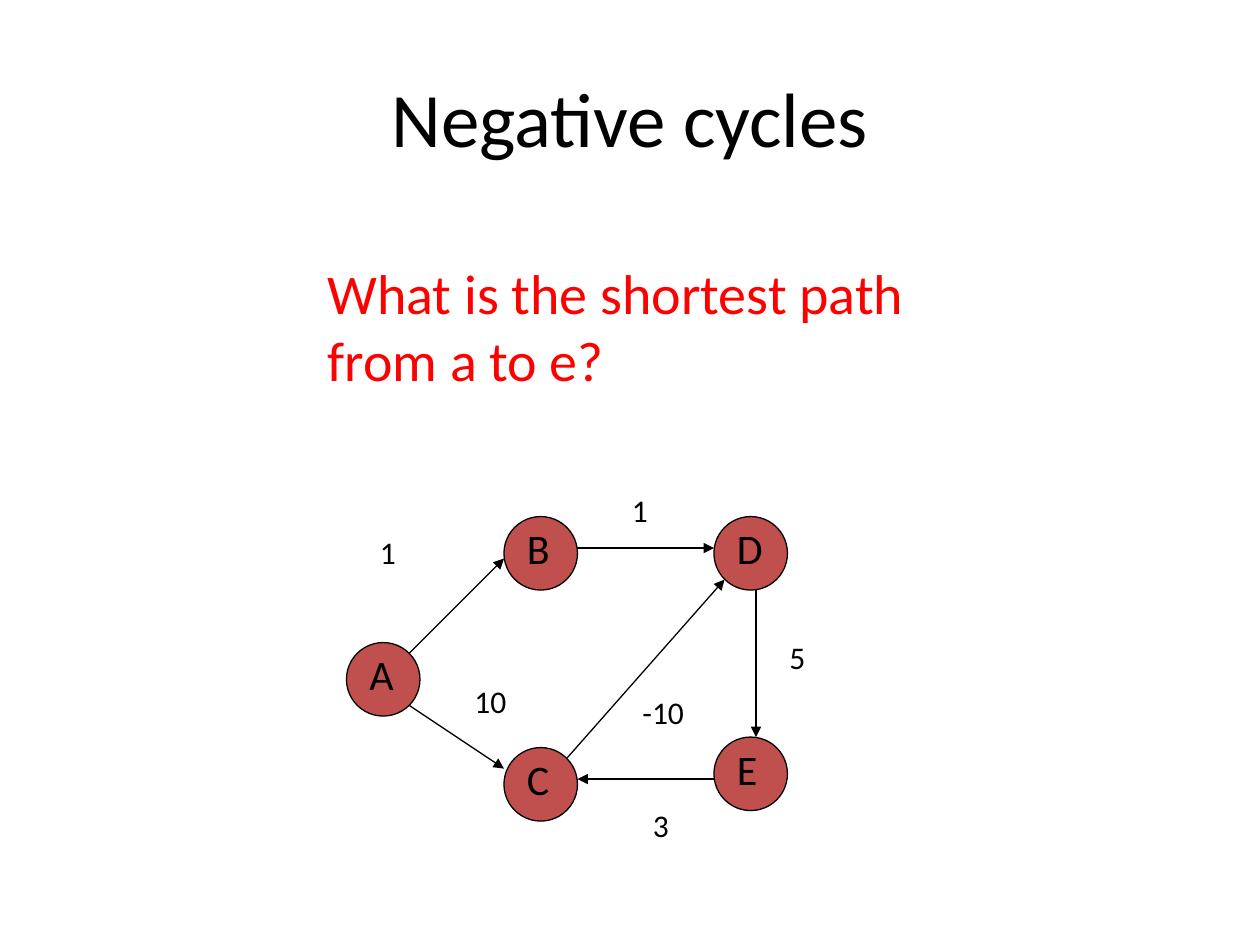
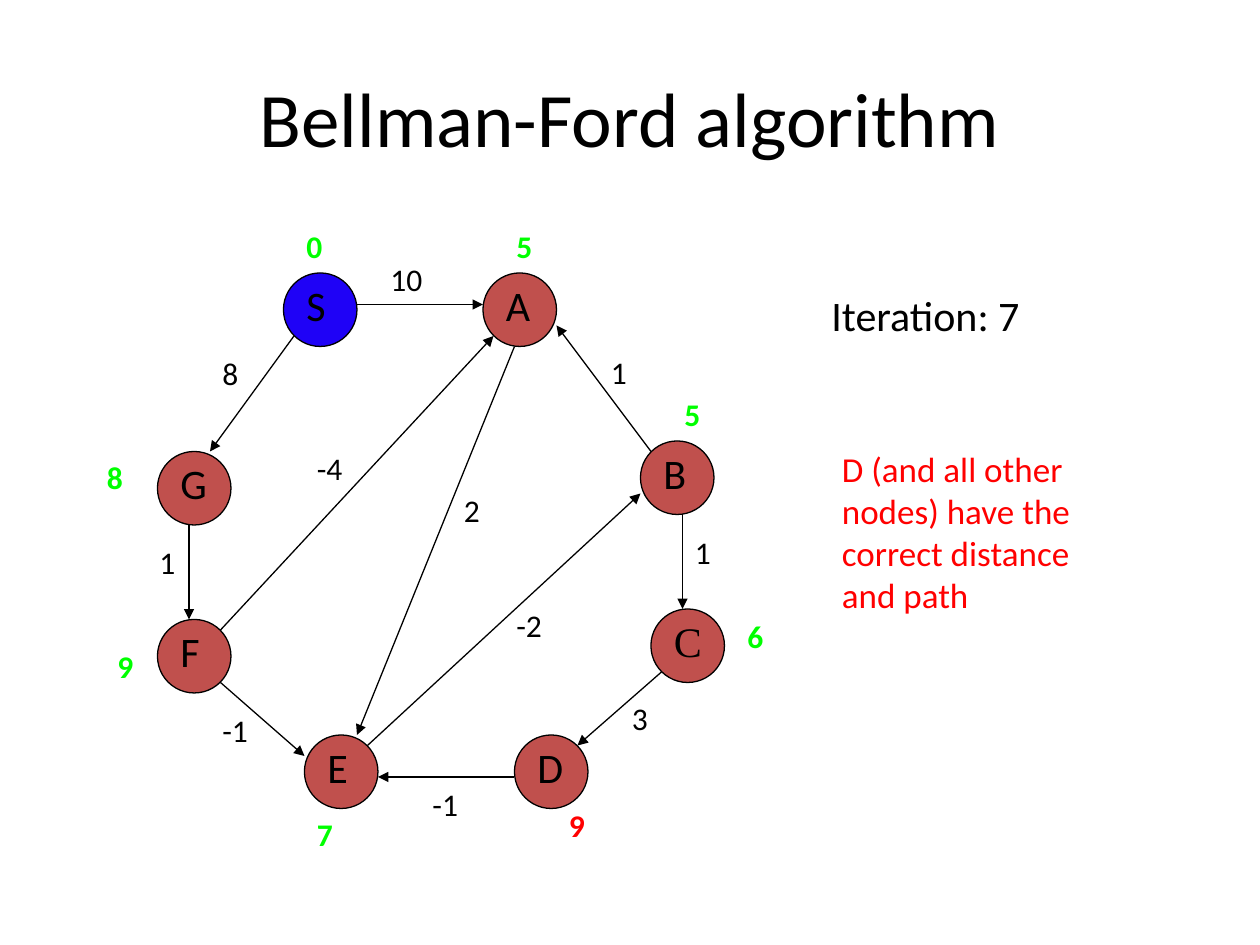
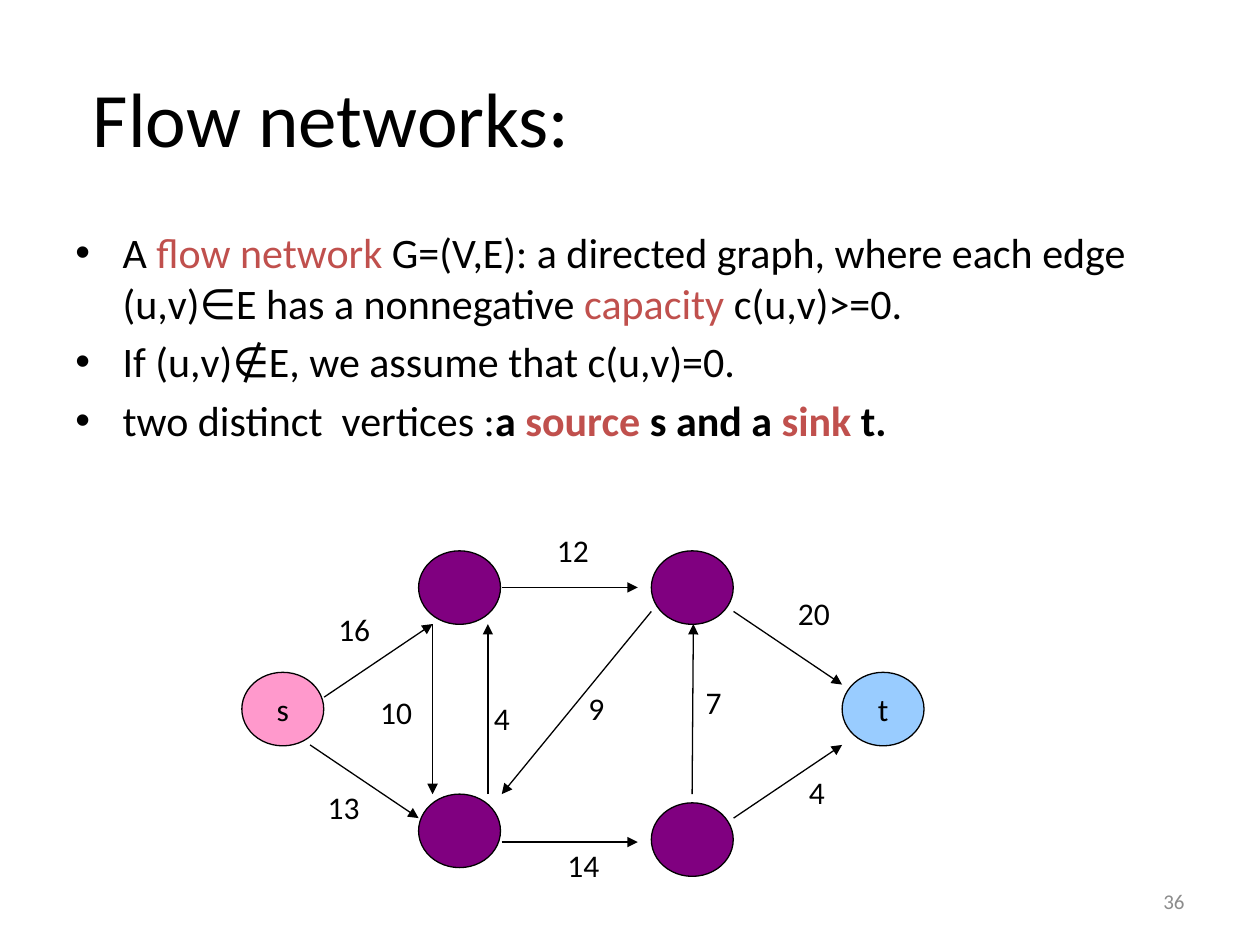
import dataclasses

import lxml.etree
import pptx
import pptx.dml.color
import pptx.enum.shapes
import pptx.enum.text
import pptx.oxml.ns
import pptx.util

Pt = pptx.util.Pt
Align = pptx.enum.text.PP_ALIGN
Anchor = pptx.enum.text.MSO_ANCHOR


@dataclasses.dataclass(frozen=True)
class Theme:
    """Colours, fonts and type sizes shared by the slides."""

    font: str = "Calibri"
    serif: str = "Times New Roman"
    black: str = "000000"
    red: str = "FF0000"
    green: str = "00FF00"
    brick: str = "C0504D"
    blue: str = "1F02F6"
    purple: str = "800080"
    pink: str = "FF99CC"
    sky: str = "99CCFF"
    grey: str = "8C8C8C"
    title: int = 44
    question: int = 32
    body: int = 24
    remark: int = 20
    label: int = 18
    footer: int = 12
    stroke: float = 0.75


THEME = Theme()


@dataclasses.dataclass(frozen=True)
class Box:
    """A rectangle in points."""

    left: float
    top: float
    width: float
    height: float

    def inner(self, left, top, width, height):
        """Return a box placed relative to this one."""
        return Box(self.left + left, self.top + top, width, height)

    def lengths(self):
        """Return the four sides as lengths."""
        return [Pt(side) for side in (self.left, self.top, self.width, self.height)]


@dataclasses.dataclass(frozen=True)
class Node:
    """A graph node with its top-left corner."""

    name: str
    left: float
    top: float
    fill: str = THEME.brick
    font: str = THEME.font


@dataclasses.dataclass(frozen=True)
class Edge:
    """A weighted arrow with the corner of its label."""

    start: tuple
    end: tuple
    weight: str
    label: tuple


@dataclasses.dataclass(frozen=True)
class GraphStyle:
    """Sizes of the nodes and labels of one graph."""

    node: tuple = (42, 42)
    label: tuple = (36, 28.8)
    centred: bool = False


TITLE_BOX = Box(36, 21.6, 648, 90)
BODY_BOX = Box(36, 126, 648, 356.4)
PAGE_BOX = Box(516, 500.4, 168, 28.8)


def rgb(value):
    """Return a colour from its hexadecimal value."""
    return pptx.dml.color.RGBColor.from_string(value)


def set_font(font, size, color, name=THEME.font, bold=False):
    """Set every property of a font."""
    font.name, font.size, font.bold = name, Pt(size), bold
    font.color.rgb = rgb(color)


def add_text(slide, box, text, size, color=THEME.black, name=THEME.font,
             bold=False, align=Align.LEFT, anchor=Anchor.TOP):
    """Add a wrapped text box with one paragraph."""
    frame = slide.shapes.add_textbox(*box.lengths()).text_frame
    frame.word_wrap = True
    frame.vertical_anchor = anchor
    paragraph = frame.paragraphs[0]
    paragraph.text = text
    paragraph.alignment = align
    set_font(paragraph.font, size, color, name, bold)


def add_title(slide, box, text, align=Align.CENTER):
    """Add the slide title."""
    add_text(slide, box, text, THEME.title, align=align, anchor=Anchor.MIDDLE)


def add_arrow(slide, box, start, end):
    """Add a straight arrow between two points of the box."""
    ends = [Pt(value) for x, y in (start, end) for value in (box.left + x, box.top + y)]
    connector = slide.shapes.add_connector(pptx.enum.shapes.MSO_CONNECTOR.STRAIGHT, *ends)
    connector.line.color.rgb = rgb(THEME.black)
    connector.line.width = Pt(THEME.stroke)
    qualify = pptx.oxml.ns.qn
    lxml.etree.SubElement(connector.line._get_or_add_ln(), qualify("a:tailEnd"), type="triangle")
    lxml.etree.SubElement(connector._element.spPr, qualify("a:effectLst"))


def add_node(slide, box, node, style):
    """Add one node with its name."""
    place = box.inner(node.left, node.top, *style.node)
    shape = slide.shapes.add_shape(pptx.enum.shapes.MSO_SHAPE.OVAL, *place.lengths())
    shape.shadow.inherit = False
    shape.fill.solid()
    shape.fill.fore_color.rgb = rgb(node.fill)
    shape.line.color.rgb = rgb(THEME.black)
    shape.line.width = Pt(THEME.stroke)
    if not style.centred:
        add_text(slide, place.inner(6, 0, 36, 36), node.name, THEME.body, name=node.font)
    elif node.name:
        shape.text_frame.word_wrap = False
        paragraph = shape.text_frame.paragraphs[0]
        paragraph.text = node.name
        paragraph.alignment = Align.CENTER
        set_font(paragraph.font, THEME.label, THEME.black)


def add_graph(slide, box, nodes, edges, style):
    """Add a directed graph with weights."""
    for node in nodes:
        add_node(slide, box, node, style)
    for edge in edges:
        add_arrow(slide, box, edge.start, edge.end)
    for edge in edges:
        add_text(slide, box.inner(*edge.label, *style.label), edge.weight, THEME.label)


def add_distances(slide, box, distances, style):
    """Add the bold distance beside each node."""
    for text, left, top, color in distances:
        add_text(slide, box.inner(left, top, *style.label), text, THEME.label, color, bold=True)


def add_bullets(slide, box, bullets):
    """Add bulleted paragraphs made of (text, colour, bold) runs."""
    frame = slide.shapes.add_textbox(*box.lengths()).text_frame
    frame.word_wrap = True
    for index, runs in enumerate(bullets):
        paragraph = frame.add_paragraph() if index else frame.paragraphs[0]
        paragraph.space_after = Pt(4.8)
        properties = paragraph._p.get_or_add_pPr()
        properties.set("marL", str(Pt(27)))
        properties.set("indent", str(Pt(-27)))
        for tag, key, value in (("a:buFont", "typeface", "Arial"), ("a:buChar", "char", "•")):
            lxml.etree.SubElement(properties, pptx.oxml.ns.qn(tag)).set(key, value)
        for text, color, bold in runs:
            run = paragraph.add_run()
            run.text = text
            set_font(run.font, THEME.body, color, bold=bold)


def build_negative_cycles(slide):
    """Build the slide on negative cycles."""
    add_title(slide, TITLE_BOX, "Negative cycles")
    nodes = [
        Node("A", 0, 90), Node("B", 90, 18), Node("C", 90, 150),
        Node("E", 210, 144), Node("D", 210, 18),
    ]
    edges = [
        Edge((36, 96), (90, 42), "1", (12, 24)),
        Edge((36, 126), (90, 162), "10", (66, 109)),
        Edge((132, 36), (210, 36), "1", (156, 0)),
        Edge((126, 156), (216, 54), "-10", (162, 115)),
        Edge((234, 60), (234, 144), "5", (246, 84)),
        Edge((210, 168), (132, 168), "3", (168, 180)),
    ]
    add_graph(slide, Box(198, 277.2, 300, 209), nodes, edges, GraphStyle(label=(54, 28.8)))
    add_text(slide, Box(180, 144, 408, 84), "What is the shortest path from a to e?",
             THEME.question, THEME.red)


def build_bellman_ford(slide):
    """Build the slide on the last iteration of the algorithm."""
    add_title(slide, TITLE_BOX, "Bellman-Ford algorithm")
    box, style = Box(54, 126, 402, 365), GraphStyle()
    nodes = [
        Node("G", 36, 132), Node("S", 108, 30, THEME.blue), Node("F", 36, 228),
        Node("E", 120, 294), Node("A", 222, 30), Node("D", 240, 294),
        Node("B", 312, 126), Node("C", 318, 222, font=THEME.serif),
    ]
    edges = [
        Edge((150, 48), (222, 48), "10", (162, 19)),
        Edge((318, 132), (264, 60), "1", (288, 72)),
        Edge((336, 168), (336, 222), "1", (336, 175)),
        Edge((324, 258), (276, 300), "3", (300, 270)),
        Edge((240, 318), (162, 318), "-1", (186, 319)),
        Edge((72, 264), (120, 306), "-1", (66, 277)),
        Edge((54, 174), (54, 228), "1", (30, 181)),
        Edge((114, 66), (66, 132), "8", (66, 73)),
        Edge((72, 234), (228, 66), "-4", (120, 127)),
        Edge((240, 72), (150, 294), "2", (204, 151)),
        Edge((156, 300), (312, 156), "-2", (234, 217)),
    ]
    distances = [
        ("0", 114, 0, THEME.green), ("5", 234, 0, THEME.green),
        ("5", 330, 96, THEME.green), ("6", 366, 223, THEME.green),
        ("9", 264, 331, THEME.red), ("7", 120, 336, THEME.green),
        ("9", 6, 240, THEME.green), ("8", 0, 132, THEME.green),
    ]
    add_graph(slide, box, nodes, edges, style)
    add_distances(slide, box, distances, style)
    add_text(slide, Box(468, 162, 168, 36), "Iteration: 7", THEME.body)
    add_text(slide, Box(474, 252, 174, 103),
             "D (and all other nodes) have the correct distance and path",
             THEME.remark, THEME.red)


def build_flow_networks(slide):
    """Build the slide that defines flow networks."""
    add_text(slide, PAGE_BOX, "36", THEME.footer, THEME.grey,
             align=Align.RIGHT, anchor=Anchor.MIDDLE)
    add_title(slide, TITLE_BOX, " Flow networks:", Align.LEFT)
    black, brick = THEME.black, THEME.brick
    add_bullets(slide, BODY_BOX, [
        [("A ", black, False), ("flow network", brick, False),
         (" G=(V,E): a directed graph, where each edge (u,v)∈E has a nonnegative ", black, False),
         ("capacity", brick, False), (" c(u,v)>=0.", black, False)],
        [("If (u,v)∉E, we assume that c(u,v)=0.", black, False)],
        [("two distinct  vertices :", black, False), ("a ", black, True),
         ("source", brick, True), (" s and a ", black, True),
         ("sink", brick, True), (" t.", black, True)],
    ])
    inner_corners = [(101, 153.6), (234, 158.6), (234, 14.6), (101, 14.6)]
    nodes = [Node("s", 0, 84, THEME.pink), Node("t", 343, 84, THEME.sky)]
    nodes += [Node("", left, top, THEME.purple) for left, top in inner_corners]
    edges = [
        Edge((47, 98.2), (109, 56.4), "16", (48, 45)),
        Edge((39, 125.5), (101, 167.3), "13", (42, 146.4)),
        Edge((109, 56.4), (109, 153.6), "10", (72, 92.4)),
        Edge((140.6, 153.6), (140.6, 56.4), "4", (137, 96)),
        Edge((148.5, 35.5), (226.3, 35.5), "12", (173, 0)),
        Edge((148.5, 181), (226.3, 181), "14", (179, 180)),
        Edge((281, 49.2), (343, 91), "20", (310.6, 36)),
        Edge((281, 167.3), (343, 125.5), "4", (317, 138)),
        Edge((257.3, 153.6), (258, 56.4), "7", (258, 86.6)),
        Edge((234, 49.2), (148.5, 153.6), "9", (191, 90)),
    ]
    style = GraphStyle(node=(46.8, 42), label=(38, 36), centred=True)
    add_graph(slide, Box(138.2, 300.2, 390, 216), nodes, edges, style)


def main():
    """Build and save the presentation."""
    presentation = pptx.Presentation()
    presentation.slide_width, presentation.slide_height = Pt(720), Pt(540)
    for build in (build_negative_cycles, build_bellman_ford, build_flow_networks):
        build(presentation.slides.add_slide(presentation.slide_layouts[6]))
    presentation.save("out.pptx")


if __name__ == "__main__":
    main()
